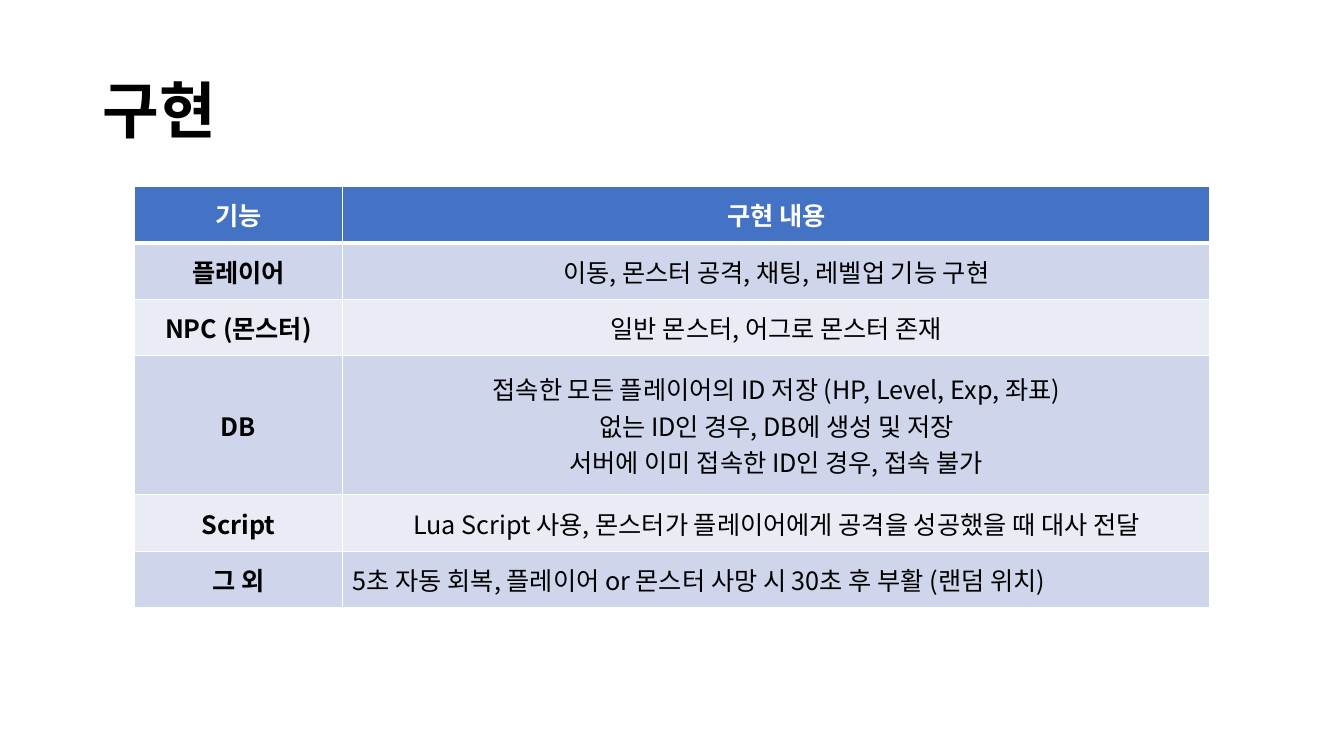
from dataclasses import dataclass

from lxml import etree
from pptx import Presentation
from pptx.dml.color import RGBColor
from pptx.enum import text
from pptx.oxml.ns import qn
from pptx.util import Inches, Pt


@dataclass(frozen=True)
class Theme:
    """Colours, font and type sizes of the slide."""
    font: str = "Noto Sans CJK KR"
    ink: str = "000000"
    white: str = "FFFFFF"
    header: str = "4472C4"
    bands: tuple = ("E9EBF5", "CFD5EA")
    title_size: int = 44
    body_size: int = 18
    rule: int = 1
    header_rule: int = 3


THEME = Theme()
CENTER, LEFT = text.PP_ALIGN.CENTER, text.PP_ALIGN.LEFT
COLUMN_WIDTHS = (2.07, 8.6)
ROW_HEIGHT, DB_HEIGHT = 0.56, 1.38
FEATURES = (
    ("기능", "구현 내용"),
    ("플레이어", "이동, 몬스터 공격, 채팅, 레벨업 기능 구현"),
    ("NPC (몬스터)", "일반 몬스터, 어그로 몬스터 존재"),
    ("DB", "접속한 모든 플레이어의 ID 저장 (HP, Level, Exp, 좌표)\n"
           "없는 ID인 경우, DB에 생성 및 저장\n"
           "서버에 이미 접속한 ID인 경우, 접속 불가"),
    ("Script", "Lua Script 사용, 몬스터가 플레이어에게 공격을 성공했을 때 대사 전달"),
    ("그 외", "5초 자동 회복, 플레이어 or 몬스터 사망 시 30초 후 부활 (랜덤 위치)"),
)


def write(frame, words, size, color, bold, align):
    """Fill a text frame and format every run in it."""
    frame.text = words
    for paragraph in frame.paragraphs:
        paragraph.alignment = align
        for run in paragraph.runs:
            font = run.font
            font.name, font.size, font.bold = THEME.font, Pt(size), bold
            font.color.rgb = RGBColor.from_string(color)
            east_asian = etree.SubElement(font._element, qn("a:ea"))
            east_asian.set("typeface", THEME.font)


def add_title(slide, words):
    """Add the slide heading."""
    heading = slide.shapes.add_textbox(
        Inches(0.92), Inches(0.4), Inches(11.5), Inches(1.45))
    frame = heading.text_frame
    frame.word_wrap = True
    frame.vertical_anchor = text.MSO_ANCHOR.MIDDLE
    write(frame, words, THEME.title_size, THEME.ink, True, LEFT)
    frame.paragraphs[0].line_spacing = 0.9


def add_borders(cell, top, bottom):
    """Draw white rules on all four sides of a cell."""
    properties = cell._tc.get_or_add_tcPr()
    sides = {"L": THEME.rule, "R": THEME.rule, "T": top, "B": bottom}
    for side, width in sides.items():
        line = etree.SubElement(properties, qn(f"a:ln{side}"), w=str(Pt(width)))
        fill = etree.SubElement(line, qn("a:solidFill"))
        etree.SubElement(fill, qn("a:srgbClr"), val=THEME.white)


def style_cell(cell, words, row, column):
    """Write one table cell according to its row and column."""
    is_header = row == 0
    last_detail = row == len(FEATURES) - 1 and column == 1
    add_borders(cell,
                THEME.header_rule if row == 1 else THEME.rule,
                THEME.header_rule if is_header else THEME.rule)
    cell.fill.solid()
    cell.fill.fore_color.rgb = RGBColor.from_string(
        THEME.header if is_header else THEME.bands[row % 2])
    cell.vertical_anchor = text.MSO_ANCHOR.MIDDLE
    write(cell.text_frame, words, THEME.body_size,
          THEME.white if is_header else THEME.ink,
          is_header or column == 0, LEFT if last_detail else CENTER)


def add_feature_table(slide):
    """Add the table of features and how each is implemented."""
    heights = [DB_HEIGHT if name == "DB" else ROW_HEIGHT for name, _ in FEATURES]
    table = slide.shapes.add_table(
        len(FEATURES), len(COLUMN_WIDTHS), Inches(1.33), Inches(1.85),
        Inches(sum(COLUMN_WIDTHS)), Inches(sum(heights))).table
    for column, width in zip(table.columns, COLUMN_WIDTHS):
        column.width = Inches(width)
    for row, (feature, height) in enumerate(zip(FEATURES, heights)):
        table.rows[row].height = Inches(height)
        for column, words in enumerate(feature):
            style_cell(table.cell(row, column), words, row, column)


def main():
    """Build and save the implementation slide."""
    deck = Presentation()
    deck.slide_width, deck.slide_height = Inches(13.33), Inches(7.5)
    slide = deck.slides.add_slide(deck.slide_layouts[6])
    add_title(slide, "구현")
    add_feature_table(slide)
    deck.save("out.pptx")


if __name__ == "__main__":
    main()
